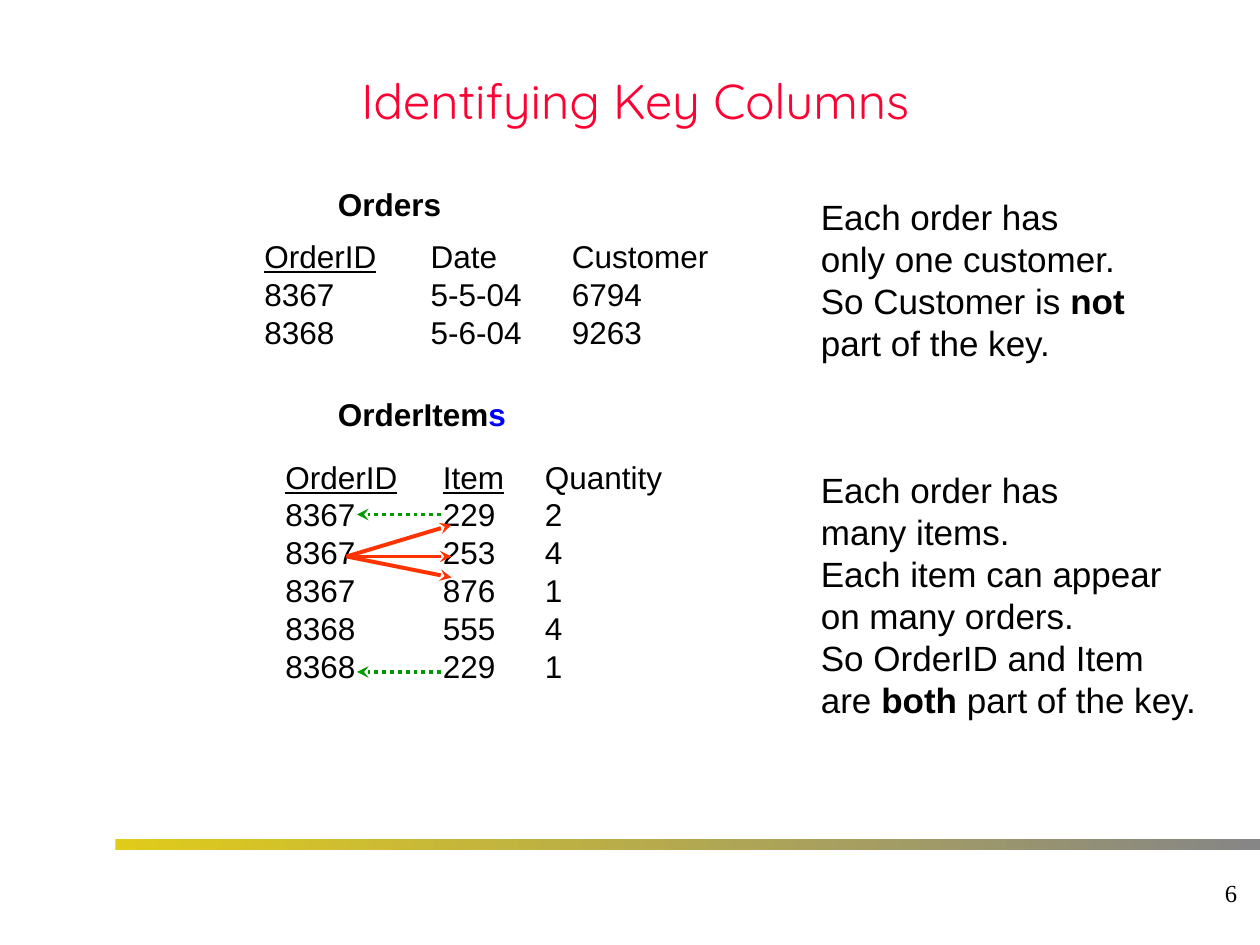
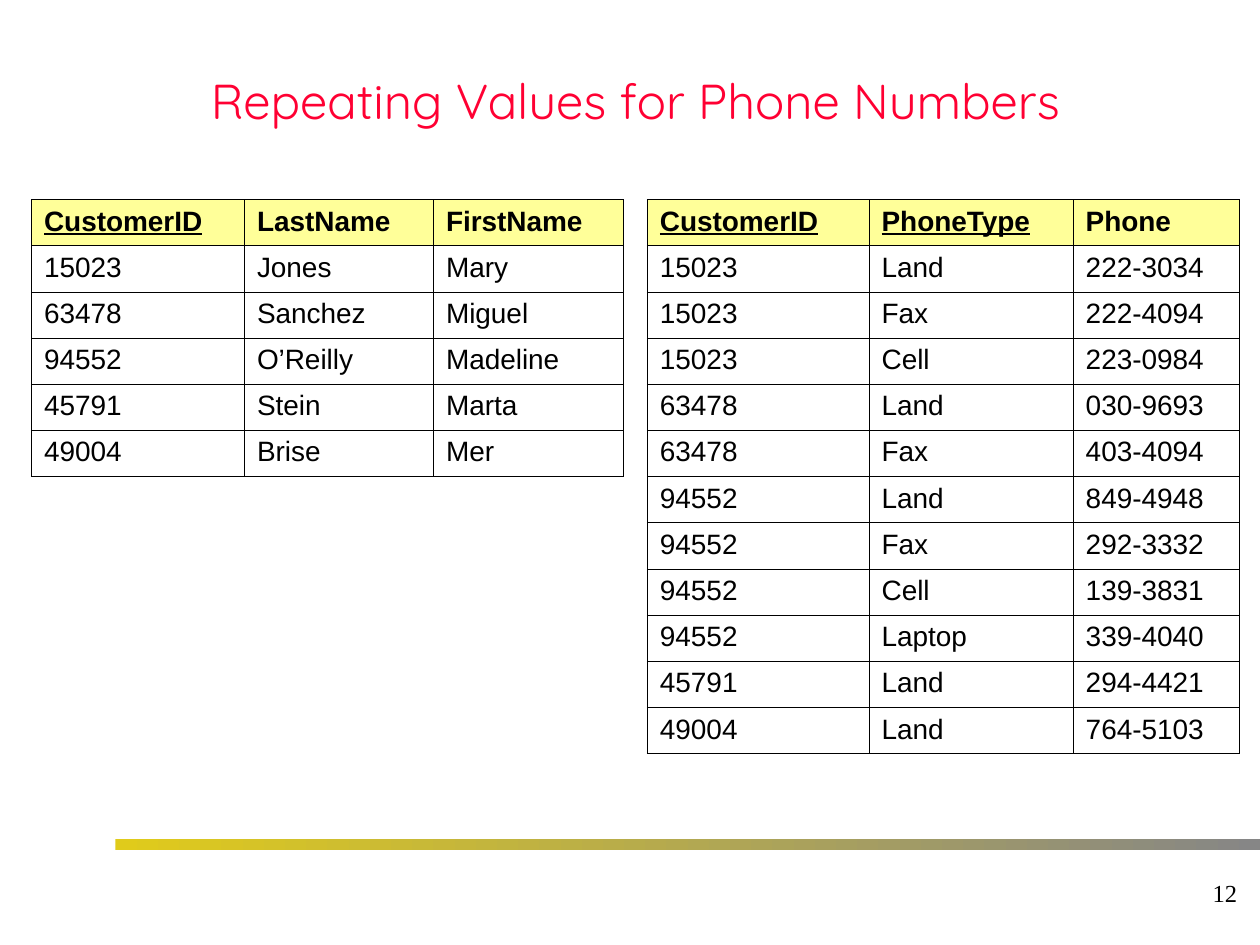
from lxml import etree
from pptx import Presentation
from pptx import util as u
from pptx.dml.color import RGBColor
from pptx.enum import dml, shapes, text
from pptx.oxml.ns import qn

BLACK = RGBColor(0x00, 0x00, 0x00)
TITLE_RED = RGBColor(0xFF, 0x00, 0x33)
BAND_GOLD = RGBColor(0xE0, 0xCB, 0x1B)
BAND_GREY = RGBColor(0x86, 0x86, 0x86)
BLUE = RGBColor(0x00, 0x00, 0xFF)
ARROW_RED = RGBColor(0xFF, 0x33, 0x00)
ARROW_GREEN = RGBColor(0x00, 0x99, 0x00)
HEADER_YELLOW = RGBColor(0xFF, 0xFF, 0x99)

TWELFTH_INCH = u.Inches(1) / 12
BOLD, UNDERLINE, BLUE_BOLD = {"bold": True}, {"underline": True}, {"bold": True, "color": BLUE}

KEY_COLUMNS = {
    "title": "Identifying Key Columns",
    "number": 6,
    "headings": [
        ((31, 17, 12.24, 4.8), [[("Orders", BOLD)]]),
        ((31, 37, 18.48, 4.8), [[("OrderItem", BOLD), ("s", BLUE_BOLD)]]),
    ],
    "listings": [
        ((24, 22, 48, 12), (1.32, 2.44), [
            [("OrderID", UNDERLINE), "\tDate\tCustomer"],
            ["8367\t5-5-04\t6794"],
            ["8368\t5-6-04\t9263"],
        ]),
        ((26, 43, 42, 22.8), (1.25, 2.06), [
            [("OrderID\tItem", UNDERLINE), "\tQuantity"],
            ["8367\t229\t2"],
            ["8367\t253\t4"],
            ["8367\t876\t1"],
            ["8368\t555\t4"],
            ["8368\t229\t1"],
        ]),
    ],
    "notes": [
        ((77, 18, 31.32, 17.28), [
            ["Each order has"],
            ["only one customer."],
            ["So Customer is ", ("not", BOLD)],
            ["part of the key."],
        ]),
        ((77, 44, 38.4, 25.2), [
            ["Each order has"],
            ["many items."],
            ["Each item can appear"],
            ["on many orders."],
            ["So OrderID and Item"],
            ["are ", ("both", BOLD), " part of the key."],
        ]),
    ],
    "order_to_items": [(33, 53, 43, row) for row in (50, 53, 55)],
    "item_to_orders": [(42, row, 34, row) for row in (64, 49)],
}

PHONE_NUMBERS = {
    "title": "Repeating Values for Phone Numbers",
    "number": 12,
    "tables": [
        {
            "left": 3, "widths": (1.69, 1.5, 1.51), "keys": 1,
            "rows": [
                ("CustomerID", "LastName", "FirstName"),
                ("15023", "Jones", "Mary"),
                ("63478", "Sanchez", "Miguel"),
                ("94552", "O’Reilly", "Madeline"),
                ("45791", "Stein", "Marta"),
                ("49004", "Brise", "Mer"),
            ],
        },
        {
            "left": 61.65, "widths": (1.76, 1.62, 1.32), "keys": 2,
            "rows": [
                ("CustomerID", "PhoneType", "Phone"),
                ("15023", "Land", "222-3034"),
                ("15023", "Fax", "222-4094"),
                ("15023", "Cell", "223-0984"),
                ("63478", "Land", "030-9693"),
                ("63478", "Fax", "403-4094"),
                ("94552", "Land", "849-4948"),
                ("94552", "Fax", "292-3332"),
                ("94552", "Cell", "139-3831"),
                ("94552", "Laptop", "339-4040"),
                ("45791", "Land", "294-4421"),
                ("49004", "Land", "764-5103"),
            ],
        },
    ],
}


def on_grid(*cells):
    return [round(cell * TWELFTH_INCH) for cell in cells]


def style_font(font, size, name="Arial", color=BLACK):
    font.size, font.name = u.Pt(size), name
    font.color.rgb = color


def add_tabs(paragraph, stops):
    tab_list = etree.SubElement(paragraph._p.get_or_add_pPr(), qn("a:tabLst"))
    for stop in stops:
        etree.SubElement(tab_list, qn("a:tab"), pos=str(u.Inches(stop)), algn="l")


def add_text(slide, box, paragraphs, size, name="Arial", color=BLACK, tabs=(),
             align=text.PP_ALIGN.LEFT, anchor=text.MSO_ANCHOR.TOP, wrap=False):
    frame = slide.shapes.add_textbox(*on_grid(*box)).text_frame
    frame.word_wrap = wrap
    frame.auto_size = text.MSO_AUTO_SIZE.NONE if wrap else text.MSO_AUTO_SIZE.SHAPE_TO_FIT_TEXT
    frame.vertical_anchor = anchor
    for index, pieces in enumerate(paragraphs):
        paragraph = frame.add_paragraph() if index else frame.paragraphs[0]
        paragraph.alignment = align
        if tabs:
            add_tabs(paragraph, tabs)
        style_font(paragraph.font, size, name, color)
        for piece in pieces:
            words, style = (piece, {}) if isinstance(piece, str) else piece
            run = paragraph.add_run()
            run.text = words
            if "bold" in style:
                run.font.bold = True
            if "underline" in style:
                run.font.underline = True
            if "color" in style:
                run.font.color.rgb = style["color"]


def add_arrow(slide, ends, color, dash=None):
    connector = slide.shapes.add_connector(shapes.MSO_CONNECTOR.STRAIGHT, *on_grid(*ends))
    line = connector.line
    line.color.rgb, line.width = color, u.Pt(2.25)
    if dash:
        line.dash_style = dash
    properties = connector._element.spPr
    etree.SubElement(properties.find(qn("a:ln")), qn("a:tailEnd"), type="stealth")
    etree.SubElement(properties, qn("a:effectLst"))


def add_borders(cell):
    properties = cell._tc.get_or_add_tcPr()
    for side in ("lnL", "lnR", "lnT", "lnB"):
        line = etree.SubElement(properties, qn("a:" + side), w=str(u.Pt(0.45)))
        fill = etree.SubElement(line, qn("a:solidFill"))
        etree.SubElement(fill, qn("a:srgbClr"), val=str(BLACK))


def add_data_table(slide, left, widths, keys, rows):
    row_height = 4.4
    box = on_grid(left, 19, sum(widths) * 12, row_height * len(rows))
    table = slide.shapes.add_table(len(rows), len(widths), *box).table
    table.first_row = table.horz_banding = False
    for column, width in zip(table.columns, widths):
        column.width = u.Inches(width)
    for row_index, values in enumerate(rows):
        table.rows[row_index].height = on_grid(row_height)[0]
        for column_index, value in enumerate(values):
            cell = table.cell(row_index, column_index)
            cell.text = value
            add_borders(cell)
            font = cell.text_frame.paragraphs[0].font
            style_font(font, 16)
            if row_index == 0:
                font.bold, font.underline = True, column_index < keys
                cell.fill.solid()
                cell.fill.fore_color.rgb = HEADER_YELLOW
            else:
                cell.fill.background()


def add_base_slide(presentation, content):
    slide = presentation.slides.add_slide(presentation.slide_layouts[6])
    band = slide.shapes.add_shape(shapes.MSO_SHAPE.RECTANGLE, *on_grid(11, 79.92, 109, 1.08))
    band.shadow.inherit = False
    band.line.fill.background()
    band.fill.gradient()
    band.fill.gradient_angle = 0
    for stop, color in zip(band.fill.gradient_stops, (BAND_GOLD, BAND_GREY)):
        stop.color.rgb = color
    middle = text.MSO_ANCHOR.MIDDLE
    add_text(slide, (94, 82, 25, 6), [[str(content["number"])]], 14, "Times New Roman",
             align=text.PP_ALIGN.RIGHT, anchor=middle, wrap=True)
    add_text(slide, (3, 2, 115, 15), [[content["title"]]], 28, "Quicksand", TITLE_RED,
             align=text.PP_ALIGN.CENTER, anchor=middle, wrap=True)
    return slide


def build_key_columns(presentation):
    slide = add_base_slide(presentation, KEY_COLUMNS)
    for box, paragraphs in KEY_COLUMNS["headings"]:
        add_text(slide, box, paragraphs, 18)
    for box, tabs, paragraphs in KEY_COLUMNS["listings"]:
        add_text(slide, box, paragraphs, 18, tabs=tabs, wrap=True)
    for ends in KEY_COLUMNS["order_to_items"]:
        add_arrow(slide, ends, ARROW_RED)
    for ends in KEY_COLUMNS["item_to_orders"]:
        add_arrow(slide, ends, ARROW_GREEN, dml.MSO_LINE.ROUND_DOT)
    for box, paragraphs in KEY_COLUMNS["notes"]:
        add_text(slide, box, paragraphs, 20, anchor=text.MSO_ANCHOR.MIDDLE)


def build_phone_numbers(presentation):
    slide = add_base_slide(presentation, PHONE_NUMBERS)
    for table in PHONE_NUMBERS["tables"]:
        add_data_table(slide, **table)


def main():
    presentation = Presentation()
    presentation.slide_width, presentation.slide_height = u.Inches(10), u.Inches(7.5)
    build_key_columns(presentation)
    build_phone_numbers(presentation)
    presentation.save("out.pptx")


if __name__ == "__main__":
    main()
